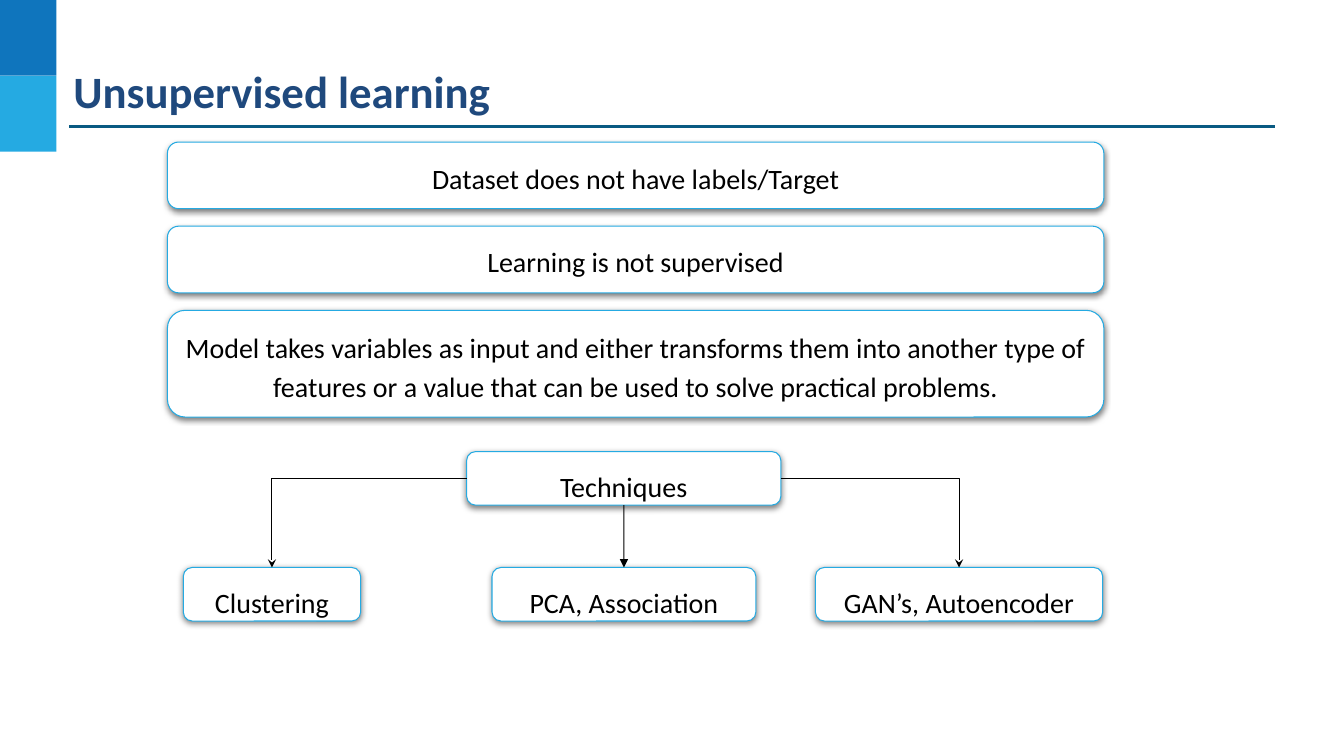
import pptx
import pptx.dml.color
import pptx.enum.shapes
import pptx.enum.text
import pptx.oxml.ns
import pptx.util
from lxml import etree

Cm = pptx.util.Cm
Pt = pptx.util.Pt
RGBColor = pptx.dml.color.RGBColor
Shape = pptx.enum.shapes.MSO_SHAPE
Connector = pptx.enum.shapes.MSO_CONNECTOR
Anchor = pptx.enum.text.MSO_ANCHOR
qn = pptx.oxml.ns.qn

BLUE = RGBColor(0x0F, 0x75, 0xBD)
SKY = RGBColor(0x25, 0xAA, 0xE2)
TEAL = RGBColor(0x09, 0x5A, 0x82)
NAVY = RGBColor(0x1F, 0x49, 0x7D)
BLACK = RGBColor(0, 0, 0)
WHITE = RGBColor(0xFF, 0xFF, 0xFF)

TOP, LEFT, BOTTOM, RIGHT = range(4)


class Painter:
    """Draws styled elements on the current slide."""

    font_name = "Calibri"
    text_size = Pt(20)
    title_size = Pt(32)
    thin = Pt(0.75)
    card_margin = Cm(0.25)
    title_margin = Cm(0.05)

    def __init__(self, page):
        self.page = page

    def label(self, box, text, size, color, margin):
        frame = box.text_frame
        frame.word_wrap = True
        frame.margin_left = frame.margin_right = margin
        frame.margin_top = frame.margin_bottom = margin
        para = frame.paragraphs[0]
        para.text = text
        para.font.name = self.font_name
        para.font.size = size
        para.font.color.rgb = color
        return para

    def block(self, left, top, width, height, color):
        box = self.page.shapes.add_shape(
            Shape.RECTANGLE, Cm(left), Cm(top), Cm(width), Cm(height))
        box.shadow.inherit = False
        box.fill.solid()
        box.fill.fore_color.rgb = color
        box.line.fill.background()

    def title(self, text, left, top, width, height):
        box = self.page.shapes.add_textbox(
            Cm(left), Cm(top), Cm(width), Cm(height))
        para = self.label(box, text, self.title_size, NAVY, self.title_margin)
        para.font.bold = True

    def card(self, text, left, top, width, height, anchor=Anchor.TOP, before=0):
        box = self.page.shapes.add_shape(
            Shape.ROUNDED_RECTANGLE, Cm(left), Cm(top), Cm(width), Cm(height))
        box.fill.solid()
        box.fill.fore_color.rgb = WHITE
        box.line.color.rgb = SKY
        box.line.width = self.thin
        self.cast_shadow(box)
        para = self.label(box, text, self.text_size, BLACK, self.card_margin)
        para.alignment = pptx.enum.text.PP_ALIGN.CENTER
        para.line_spacing = 1.15
        para.space_before = Pt(before)
        para.space_after = Pt(10)
        box.text_frame.vertical_anchor = anchor
        return box

    def cast_shadow(self, box):
        box.shadow.inherit = False
        effects = box.element.spPr.find(qn("a:effectLst"))
        shadow = etree.SubElement(
            effects, qn("a:outerShdw"), blurRad=str(Pt(4.5)), dist=str(Pt(1.5)),
            dir="5400000", algn="bl", rotWithShape="0")
        color = etree.SubElement(shadow, qn("a:srgbClr"), val=str(BLACK))
        etree.SubElement(color, qn("a:alpha"), val="49000")

    def line(self, kind, start, end, color, width):
        line = self.page.shapes.add_connector(kind, *map(Cm, start + end))
        line.line.color.rgb = color
        line.line.width = width
        etree.SubElement(line.element.spPr, qn("a:effectLst"))
        return line

    def arrow(self, source, side, target, head):
        kind = Connector.STRAIGHT if side == BOTTOM else Connector.ELBOW
        arrow = self.line(kind, (0, 0), (0, 0), BLACK, self.thin)
        arrow.begin_connect(source, side)
        arrow.end_connect(target, TOP)
        properties = arrow.element.spPr
        if kind == Connector.ELBOW:
            properties.find(qn("a:prstGeom")).set("prst", "bentConnector2")
        etree.SubElement(properties.find(qn("a:ln")), qn("a:tailEnd"), type=head)


def main():
    deck = pptx.Presentation()
    deck.slide_width = Cm(33.87)
    deck.slide_height = Cm(19.05)
    painter = Painter(deck.slides.add_slide(deck.slide_layouts[6]))

    for row, color in enumerate((BLUE, SKY)):
        painter.block(0, row * 1.91, 1.42, 1.91, color)
    painter.line(Connector.STRAIGHT, (1.74, 3.18), (32.13, 3.18), TEAL, Pt(2.25))
    painter.title("Unsupervised learning", 1.8, 1.55, 31.22, 2.11)

    top = 3.58
    statements = (
        ("Dataset does not have labels/Target", 1.68, Anchor.MIDDLE, 10),
        ("Learning is not supervised", 1.68, Anchor.TOP, 0),
        ("Model takes variables as input and either transforms them into another "
         "type of features or a value that can be used to solve practical problems.",
         2.69, Anchor.TOP, 0),
    )
    for text, height, anchor, before in statements:
        painter.card(text, 4.22, top, 23.6, height, anchor, before)
        top += height + 0.44

    root = painter.card("Techniques", 11.76, 11.38, 7.92, 1.35)
    techniques = (
        ("Clustering", 4.62, 4.47, LEFT, "stealth"),
        ("PCA, Association", 12.4, 6.65, BOTTOM, "triangle"),
        ("GAN’s, Autoencoder", 20.55, 7.24, RIGHT, "stealth"),
    )
    for text, left, width, side, head in techniques:
        leaf = painter.card(text, left, 14.3, width, 1.35)
        painter.arrow(root, side, leaf, head)

    deck.save("out.pptx")


if __name__ == "__main__":
    main()
